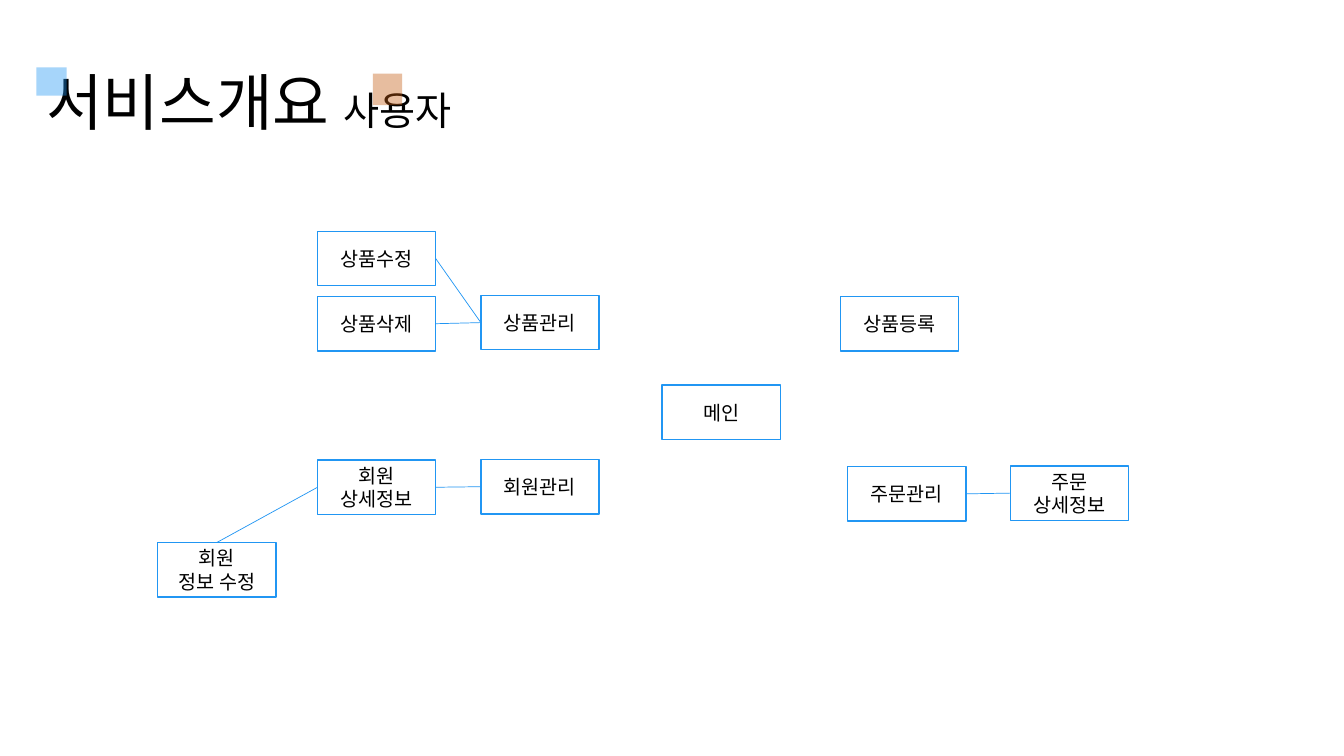
from lxml.etree import SubElement
from pptx import Presentation
from pptx.dml.color import RGBColor
from pptx.enum.shapes import MSO_CONNECTOR as Connector, MSO_SHAPE as Shape
from pptx.enum.text import MSO_ANCHOR as Anchor, PP_ALIGN as Align
from pptx.oxml.ns import qn
from pptx.util import Pt

COLORS = {"blue": "2196F3", "orange": "C55A11", "text": "000000"}
FONT = "Noto Sans CJK KR"
PAGE_WIDTH, PAGE_HEIGHT = 84.4, 38.9
TOP, LEFT, BOTTOM, RIGHT = range(4)

PAGES = {
    "main": ("메인", 473, 275.1),
    "product_delete": ("상품삭제", 226.8, 211.8),
    "members": ("회원관리", 343.5, 328.2),
    "products": ("상품관리", 343.5, 211),
    "product_edit": ("상품수정", 226.8, 165.2),
    "product_add": ("상품등록", 600.5, 211.8),
    "member_detail": ("회원\n상세정보", 226.8, 328.6),
    "orders": ("주문관리", 605.5, 333.3),
    "order_detail": ("주문\n상세정보", 721.8, 332.8),
    "member_edit": ("회원\n정보 수정", 112.7, 387.5),
}
LINKS = [
    ("products", LEFT, "product_edit", RIGHT),
    ("products", LEFT, "product_delete", RIGHT),
    ("members", LEFT, "member_detail", RIGHT),
    ("orders", RIGHT, "order_detail", LEFT),
    ("member_detail", LEFT, "member_edit", TOP),
]
ACCENTS = [
    ("blue", 25.9, 48.2, 21.8, 20.2),
    ("orange", 266.4, 52.6, 20.9, 22.5),
]


def color(name):
    return RGBColor.from_string(COLORS[name])


def add_run(paragraph, text, size):
    run = paragraph.add_run()
    run.text = text
    run.font.color.rgb = color("text")
    for attribute, value in {"name": FONT, "size": Pt(size)}.items():
        setattr(run.font, attribute, value)
    SubElement(run.font._element, qn("a:ea"), typeface=FONT)


def add_rectangle(slide, left, top, width, height):
    rectangle = slide.shapes.add_shape(
        Shape.RECTANGLE, Pt(left), Pt(top), Pt(width), Pt(height))
    rectangle.shadow.inherit = False
    return rectangle


def add_page(slide, label, left, top):
    page = add_rectangle(slide, left, top, PAGE_WIDTH, PAGE_HEIGHT)
    page.fill.background()
    page.line.color.rgb = color("blue")
    page.line.width = Pt(1)
    frame = page.text_frame
    frame.vertical_anchor = Anchor.MIDDLE
    for index, text in enumerate(label.split("\n")):
        paragraph = frame.add_paragraph() if index else frame.paragraphs[0]
        paragraph.alignment = Align.CENTER
        add_run(paragraph, text, 14)
    return page


def add_link(slide, start, start_side, end, end_side):
    link = slide.shapes.add_connector(Connector.STRAIGHT, 0, 0, 0, 0)
    link.begin_connect(start, start_side)
    link.end_connect(end, end_side)
    link.line.color.rgb = color("blue")
    link.line.width = Pt(0.5)
    SubElement(link._element.spPr, qn("a:effectLst"))


def add_title(slide, heading, audience):
    title = slide.shapes.add_textbox(Pt(25.9), Pt(23), Pt(828), Pt(104.4))
    frame = title.text_frame
    for attribute, value in {"word_wrap": True, "vertical_anchor": Anchor.MIDDLE}.items():
        setattr(frame, attribute, value)
    paragraph = frame.paragraphs[0]
    paragraph.line_spacing = 0.9
    add_run(paragraph, heading, 44)
    add_run(paragraph, audience, 28)


def add_accent(slide, tint, *bounds):
    accent = add_rectangle(slide, *bounds)
    accent.line.fill.background()
    accent.fill.solid()
    accent.fill.fore_color.rgb = color(tint)
    tint_element = accent._element.spPr.find(qn("a:solidFill"))[0]
    SubElement(tint_element, qn("a:alpha"), val="40000")


def main():
    deck = Presentation()
    deck.slide_width, deck.slide_height = Pt(960), Pt(540)
    slide = deck.slides.add_slide(deck.slide_layouts[6])
    pages = {key: add_page(slide, *page) for key, page in PAGES.items()}
    for start, start_side, end, end_side in LINKS:
        add_link(slide, pages[start], start_side, pages[end], end_side)
    add_title(slide, "서비스개요 ", "사용자")
    for accent in ACCENTS:
        add_accent(slide, *accent)
    deck.save("out.pptx")


if __name__ == "__main__":
    main()
